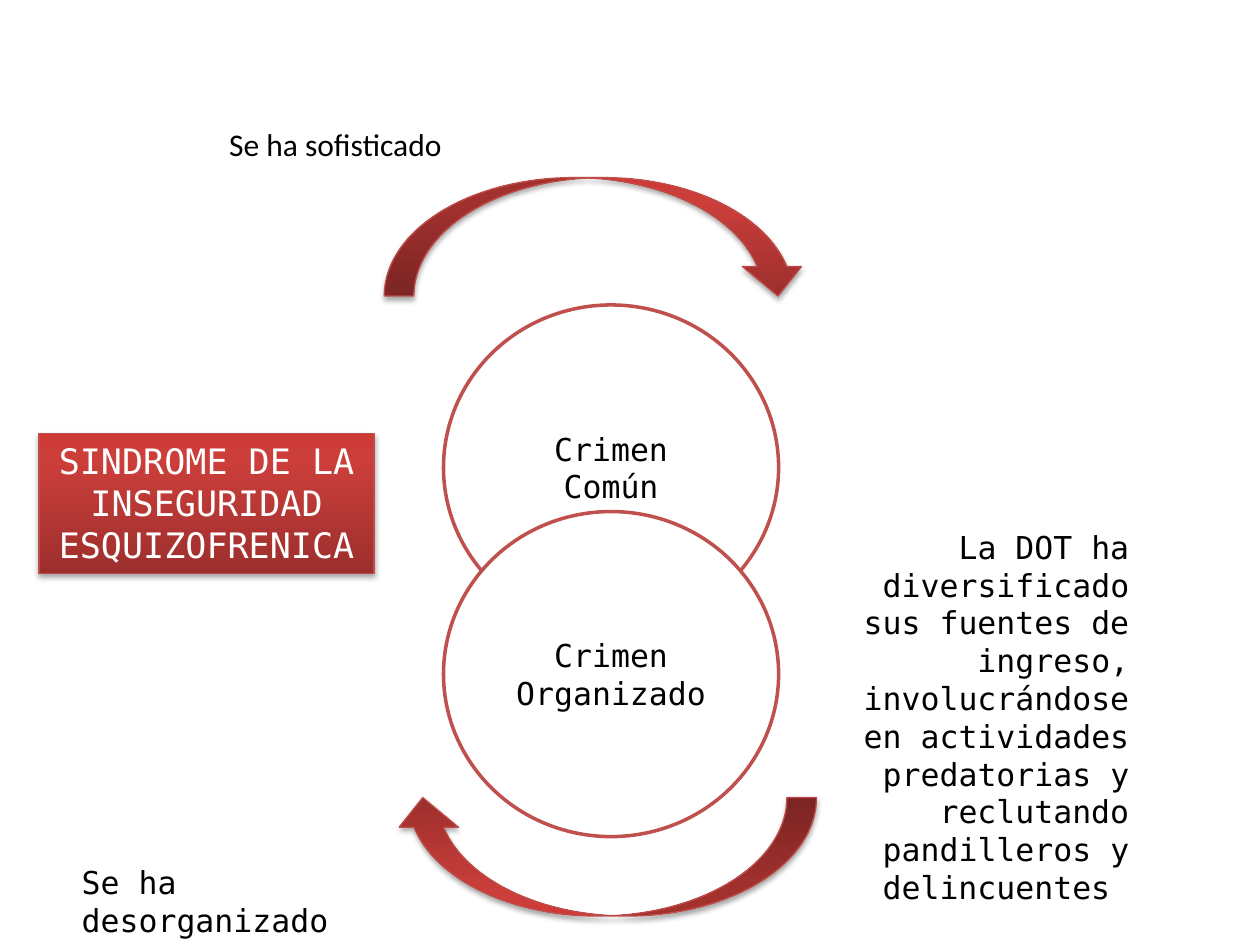
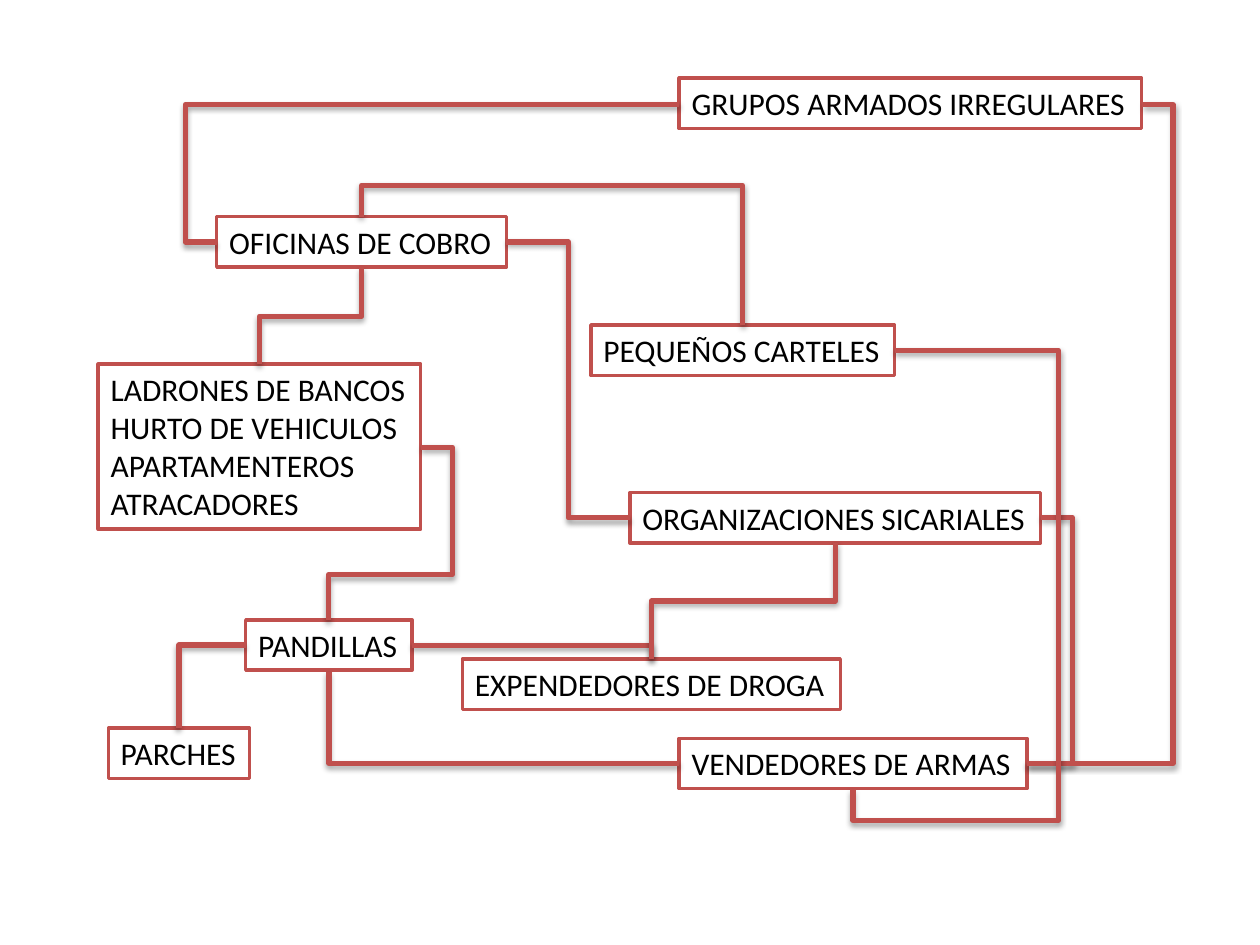
from lxml.etree import SubElement
from pptx import Presentation
from pptx.dml.color import RGBColor
from pptx.enum.shapes import MSO_CONNECTOR as Link, MSO_SHAPE as Preset
from pptx.enum.text import MSO_ANCHOR as Anchor, MSO_AUTO_SIZE as AutoSize, PP_ALIGN as Align
from pptx.oxml.ns import qn
from pptx.util import Inches, Pt

RED, EDGE, WHITE, BLACK = "C0504D", "BF4C48", "FFFFFF", "000000"
GLOSS = [(0, "9C2F2D"), (80, "CB3E3A"), (100, "CE3B37")]
SANS, MONO = "Calibri", "DejaVu Sans Mono"


def paint(shape, line, width, fill=None, shadow=False):
    """Colour a shape: fill is a hex string, a list of gradient stops or None."""
    shape.line.color.rgb = RGBColor.from_string(line)
    shape.line.width = Pt(width)
    properties = shape._element.spPr
    if isinstance(fill, str):
        shape.fill.solid()
        shape.fill.fore_color.rgb = RGBColor.from_string(fill)
    elif fill:
        shape.fill.gradient()
        shape.fill.gradient_angle = 90
        stops = properties.find(qn("a:gradFill")).find(qn("a:gsLst"))
        stops.clear()
        for position, tone in fill:
            stop = SubElement(stops, qn("a:gs"), pos=str(position * 1000))
            SubElement(stop, qn("a:srgbClr"), val=tone)
    effects = SubElement(properties, qn("a:effectLst"))
    if shadow:
        outer = SubElement(effects, qn("a:outerShdw"), blurRad="40000", dist="23000",
                           dir="5400000", rotWithShape="0")
        tone = SubElement(outer, qn("a:srgbClr"), val=BLACK)
        SubElement(tone, qn("a:alpha"), val="35000")


def write(shape, text, font, size=18, color=BLACK, align=Align.LEFT, wrap=True, grow=True):
    frame = shape.text_frame
    frame.text = text
    frame.word_wrap = wrap
    frame.auto_size = AutoSize.SHAPE_TO_FIT_TEXT if grow else AutoSize.NONE
    for paragraph in frame.paragraphs:
        paragraph.alignment = align
        paragraph.font.name = font
        paragraph.font.size = Pt(size)
        paragraph.font.color.rgb = RGBColor.from_string(color)


deck = Presentation()
deck.slide_width, deck.slide_height = Inches(10), Inches(7.5)
blank = deck.slide_layouts[6]

# Slide 1: cycle between common and organised crime
page = deck.slides.add_slide(blank)
for left, top, turn in [(3.05, 1.41, 0), (3.12, 6.33, 180)]:
    arrow = page.shapes.add_shape(Preset.CURVED_DOWN_ARROW, Inches(left), Inches(top),
                                  Inches(3.36), Inches(0.94))
    arrow.rotation = turn
    paint(arrow, EDGE, 0.75, GLOSS, shadow=True)

# Remarks around the cycle
remarks = [
    ("Se ha sofisticado", (1.72, 0.94, 1.91, 0.4), SANS, Align.LEFT, False),
    ("Se ha desorganizado", (0.55, 6.8, 2.75, 0.4), MONO, Align.LEFT, True),
    ("La DOT ha diversificado sus fuentes de ingreso, involucrándose en actividades "
     "predatorias y reclutando pandilleros y delincuentes ",
     (6.48, 4.14, 2.58, 2.83), MONO, Align.RIGHT, True),
]
for text, place, font, align, wrap in remarks:
    box = page.shapes.add_textbox(*map(Inches, place))
    write(box, text, font, align=align, wrap=wrap)

# Overlapping circles
for text, top in [("Crimen Común", 2.42), ("Crimen Organizado", 4.06)]:
    circle = page.shapes.add_shape(Preset.OVAL, Inches(3.52), Inches(top),
                                   Inches(2.66), Inches(2.58))
    paint(circle, RED, 2, WHITE)
    write(circle, text, MONO, align=Align.CENTER, grow=False)
    circle.text_frame.vertical_anchor = Anchor.MIDDLE

# Syndrome banner
banner = page.shapes.add_textbox(Inches(0.31), Inches(3.44), Inches(2.66), Inches(1.11))
paint(banner, EDGE, 0.75, GLOSS, shadow=True)
write(banner, "SINDROME DE LA\nINSEGURIDAD ESQUIZOFRENICA", MONO, 20, WHITE, Align.CENTER)

# Slide 2: network of criminal groups
page = deck.slides.add_slide(blank)
groups = [
    ("PARCHES", 0.86, 5.78, 1.12, 0.4),
    ("PANDILLAS", 1.95, 4.92, 1.32, 0.4),
    ("EXPENDEDORES DE DROGA", 3.67, 5.23, 3, 0.4),
    ("VENDEDORES DE ARMAS", 5.39, 5.86, 2.76, 0.4),
    ("ORGANIZACIONES SICARIALES", 5, 3.91, 3.26, 0.4),
    ("LADRONES DE BANCOS\nHURTO DE VEHICULOS\nAPARTAMENTEROS\nATRACADORES",
     0.78, 2.89, 2.56, 1.31),
    ("OFICINAS DE COBRO", 1.72, 1.72, 2.3, 0.4),
    ("PEQUEÑOS CARTELES", 4.69, 2.58, 2.41, 0.4),
    ("GRUPOS ARMADOS IRREGULARES", 5.39, 0.62, 3.67, 0.4),
]
for text, *place in groups:
    box = page.shapes.add_textbox(*map(Inches, place))
    paint(box, RED, 2, WHITE)
    write(box, text, SANS, wrap=False)

# Each route lists its start, its bends and its end
routes = [
    [(1.42, 5.78), (1.42, 5.12), (1.95, 5.12)],
    [(3.27, 5.12), (5.17, 5.12), (5.17, 5.23)],
    [(2.61, 5.33), (2.61, 6.06), (5.39, 6.06)],
    [(8.15, 6.06), (8.51, 6.06), (8.51, 4.11), (8.26, 4.11)],
    [(5.17, 5.23), (5.17, 4.77), (6.63, 4.77), (6.63, 4.31)],
    [(2.61, 4.92), (2.61, 4.56), (3.59, 4.56), (3.59, 3.55), (3.34, 3.55)],
    [(8.15, 6.06), (9.31, 6.06), (9.31, 0.83), (9.06, 0.83)],
    [(6.77, 6.26), (6.77, 6.51), (8.4, 6.51), (8.4, 2.78), (7.1, 2.78)],
    [(5, 4.11), (4.51, 4.11), (4.51, 1.92), (4.02, 1.92)],
    [(2.87, 1.72), (2.87, 1.47), (5.89, 1.47), (5.89, 2.58)],
    [(1.72, 1.92), (1.47, 1.92), (1.47, 0.83), (5.39, 0.83)],
    [(2.06, 2.89), (2.06, 2.51), (2.87, 2.51), (2.87, 2.12)],
]
for route in routes:
    start, end = route[0], route[-1]
    span = (end[0] - start[0], end[1] - start[1])
    middle = (start[0] + span[0] / 2, start[1] + span[1] / 2)
    first_axis = 1 if route[1][0] == start[0] else 0

    # A route that leaves vertically is a horizontal one given a quarter turn
    turn, extent = 0, span
    if first_axis == 1:
        turn = 90 if span[1] < 0 else 270
        sign = 1 if turn == 90 else -1
        extent = (sign * span[1], -sign * span[0])
    corners = [middle[axis] + side * extent[axis] / 2 for side in (-1, 1) for axis in (0, 1)]
    connector = page.shapes.add_connector(Link.ELBOW, *map(Inches, corners))
    properties = connector._element.spPr
    properties.find(qn("a:xfrm")).set("rot", str(turn * 60000))

    # Bends are placed as shares of the distance from start to end
    segments = len(route) - 1
    geometry = properties.find(qn("a:prstGeom"))
    geometry.set("prst", f"bentConnector{segments}")
    guides = geometry.find(qn("a:avLst"))
    for bend in range(1, segments - 1):
        axis = (first_axis + bend - 1) % 2
        share = (route[bend][axis] - start[axis]) / span[axis]
        SubElement(guides, qn("a:gd"), name=f"adj{bend}", fmla=f"val {round(share * 100000)}")
    paint(connector, RED, 3, shadow=True)

deck.save("out.pptx")
